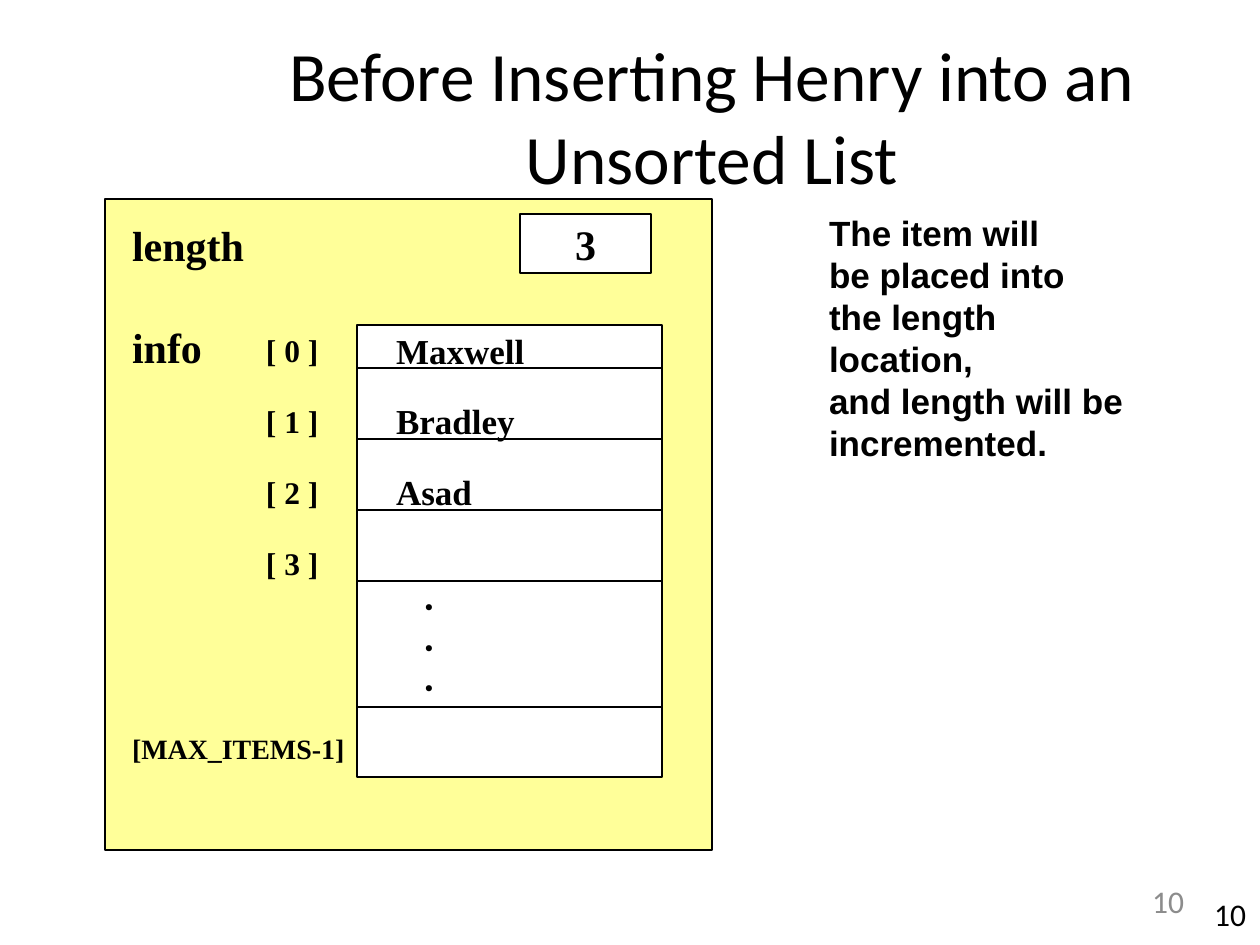
from dataclasses import dataclass

from lxml.etree import SubElement
from pptx import Presentation
from pptx.dml.color import RGBColor as RGB
from pptx.enum.shapes import MSO_CONNECTOR as Connector, MSO_SHAPE as Shape
from pptx.enum.text import MSO_ANCHOR as Anchor, PP_ALIGN as Align
from pptx.oxml.ns import qn
from pptx.util import Emu, Pt


@dataclass(frozen=True)
class Theme:
    ink: RGB = RGB(0, 0, 0)
    muted: RGB = RGB(0x8C, 0x8C, 0x8C)
    paper: RGB = RGB(255, 255, 255)
    panel: RGB = RGB(0xFF, 0xFF, 0x99)
    heading: str = "Calibri"
    serif: str = "Times New Roman"
    sans: str = "Arial"
    dots: str = "Montserrat"
    title_size: float = 39.6
    field_size: int = 24
    body_size: int = 20
    index_size: int = 18
    small_size: int = 16
    line: int = 1


THEME = Theme()
INSET = 13


def px(length):
    return Emu(round(length * 914400 / 126))


def write(frame, lines, font, size, bold=True, color=THEME.ink,
          align=Align.LEFT, leading=None):
    for i, line in enumerate(lines):
        para = frame.paragraphs[0] if i == 0 else frame.add_paragraph()
        para.text = line
        para.alignment = align
        if leading:
            para.line_spacing = Pt(leading)
        para.font.name, para.font.size = font, Pt(size)
        para.font.bold, para.font.color.rgb = bold, color


def add_text(slide, box, lines, font, size, anchor=Anchor.MIDDLE,
             inset=INSET, **style):
    frame = slide.shapes.add_textbox(*map(px, box)).text_frame
    frame.word_wrap = True
    frame.vertical_anchor = anchor
    frame.margin_left = frame.margin_right = px(inset)
    frame.margin_top = frame.margin_bottom = px(inset // 2)
    write(frame, lines, font, size, **style)


def add_label(slide, x, middle, text, size):
    """One line of serif text, centred on the height given."""
    height = 50
    add_text(slide, (x, middle - height // 2, 230, height), [text],
             THEME.serif, size, inset=0)


def add_rect(slide, box, fill):
    rect = slide.shapes.add_shape(Shape.RECTANGLE, *map(px, box))
    rect.shadow.inherit = False
    rect.fill.solid()
    rect.fill.fore_color.rgb = fill
    rect.line.color.rgb = THEME.ink
    rect.line.width = Pt(THEME.line)
    return rect


def add_rule(slide, left, right, y):
    rule = slide.shapes.add_connector(
        Connector.STRAIGHT, px(left), px(y), px(right), px(y))
    rule.line.color.rgb = THEME.ink
    rule.line.width = Pt(THEME.line)
    SubElement(rule._element.spPr, qn("a:effectLst"))


def add_title(slide, box):
    add_text(slide, box, ["Before Inserting Henry into an\vUnsorted List"],
             THEME.heading, THEME.title_size, bold=False, align=Align.CENTER)


def add_list_panel(slide, box):
    left, top, _, _ = box
    add_rect(slide, box, THEME.panel)
    field_x = left + 27

    # Length field and its value
    add_label(slide, field_x, top + 46, "length", THEME.field_size)
    value = add_rect(slide, (left + 415, top + 15, 131, 59), THEME.paper)
    value.text_frame.vertical_anchor = Anchor.MIDDLE
    write(value.text_frame, ["3"], THEME.serif, THEME.field_size,
          align=Align.CENTER)

    # Info array and its cell borders
    add_label(slide, field_x, top + 148, "info", THEME.field_size)
    array_x, array_y, array_w, array_h = left + 252, top + 126, 305, 452
    add_rect(slide, (array_x, array_y, array_w, array_h), THEME.paper)
    first_rule, pitch = array_y + 43, 71
    rules = [first_rule + i * pitch for i in range(4)]
    rules.append(array_y + array_h - pitch + 1)
    for y in rules:
        add_rule(slide, array_x, array_x + array_w, y)

    # Indexes and stored names
    for i, name in enumerate(["Maxwell", "Bradley", "Asad", ""]):
        middle = top + 151 + i * 71
        add_label(slide, left + 161, middle, f"[ {i} ]", THEME.index_size)
        if name:
            add_label(slide, array_x + 39, middle, name, THEME.body_size)

    # Skipped cells and the last index
    add_text(slide, (array_x + 68, top + 378, 40, 120), ["."] * 3,
             THEME.dots, THEME.index_size, anchor=Anchor.TOP, inset=0,
             leading=23)
    add_label(slide, field_x, top + 549, "[MAX_ITEMS-1]", THEME.small_size)


def add_explanation(slide, box):
    lines = ["The item will", "be placed into", "the length location,",
             "and length will be", "incremented."]
    add_text(slide, box, lines, THEME.sans, THEME.body_size,
             anchor=Anchor.TOP)


def add_page_number(slide, box, color):
    add_text(slide, box, ["10"], THEME.heading, THEME.index_size, bold=False,
             color=color, align=Align.RIGHT)


def main():
    deck = Presentation()
    deck.slide_width, deck.slide_height = px(1260), px(945)
    slide = deck.slides.add_slide(deck.slide_layouts[6])
    add_title(slide, (203, 63, 1018, 105))
    add_list_panel(slide, (105, 199, 607, 651))
    add_explanation(slide, (816, 205, 336, 260))
    add_page_number(slide, (903, 876, 294, 50), THEME.muted)
    add_page_number(slide, (997, 882, 262, 63), THEME.ink)
    deck.save("out.pptx")


if __name__ == "__main__":
    main()
